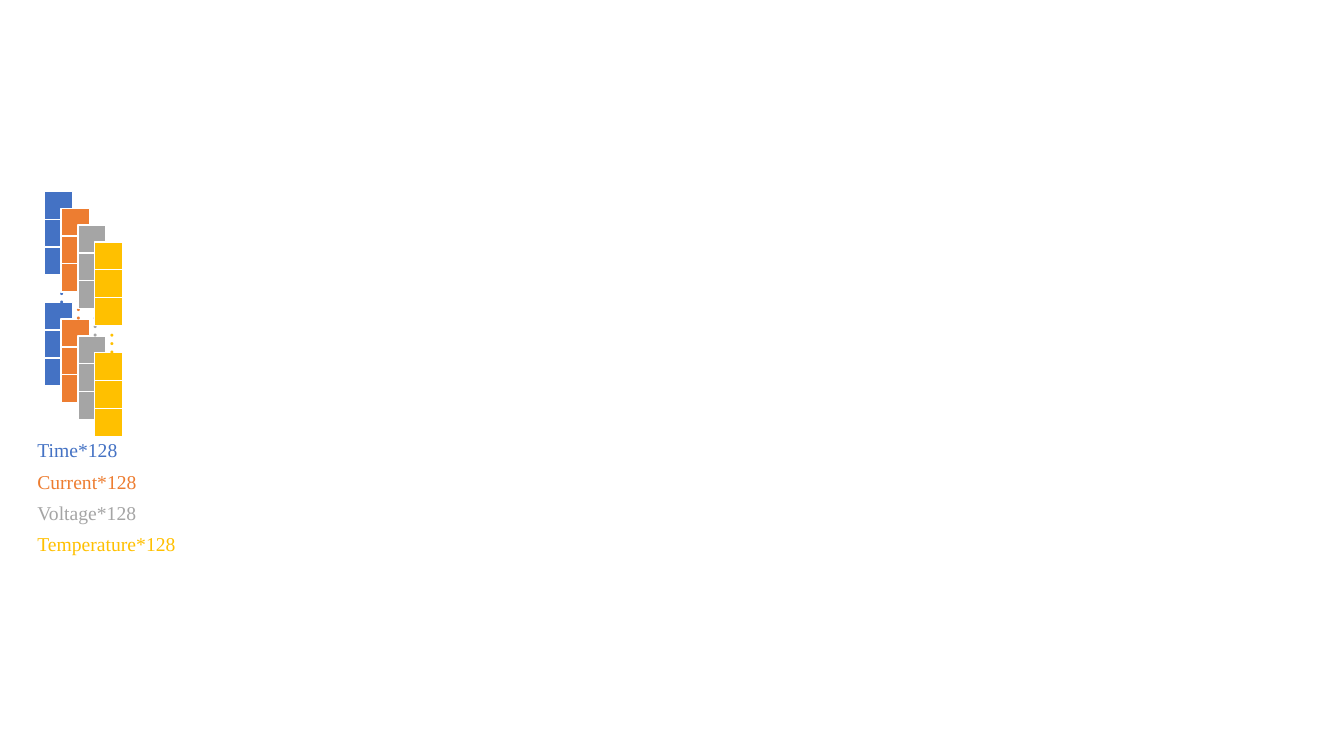
from dataclasses import dataclass

from lxml import etree
from pptx import Presentation
from pptx.dml.color import RGBColor
from pptx.enum.shapes import MSO_SHAPE
from pptx.enum.text import MSO_AUTO_SIZE
from pptx.util import Inches, Pt

RECT = MSO_SHAPE.RECTANGLE
FIT_SHAPE = MSO_AUTO_SIZE.SHAPE_TO_FIT_TEXT

FONT = "Times New Roman"
COLORS = {"time": "4472C4", "current": "ED7D31", "voltage": "A5A5A5",
          "temperature": "FFC000", "outline": "FFFFFF"}
NO_STYLE = "{2D5ABB26-0587-4C30-8999-92F81FD0307C}"

# Stack geometry in inches
LEFT, TOP = 0.44, 1.9
SQUARE, PITCH = 0.28, 0.275
STACK_SHIFT = 1 / 6
SQUARE_SLOTS = (0, 1, 2, 4, 5, 6)  # slot 3 holds the ellipsis


@dataclass
class Channel:
    label: str
    color: str


CHANNELS = [
    Channel("Time*128", COLORS["time"]),
    Channel("Current*128", COLORS["current"]),
    Channel("Voltage*128", COLORS["voltage"]),
    Channel("Temperature*128", COLORS["temperature"]),
]


def add_run(p, text: str, size: int, color: str) -> None:
    r = p.add_run()
    r.text = text
    r.font.name = FONT
    r.font.size = Pt(size)
    r.font.color.rgb = RGBColor.from_string(color)


def add_square(s, left: float, top: float, color: str) -> None:
    sp = s.shapes.add_shape(RECT, Inches(left), Inches(top),
                            Inches(SQUARE), Inches(SQUARE))
    sp.shadow.inherit = False
    sp.fill.solid()
    sp.fill.fore_color.rgb = RGBColor.from_string(color)
    sp.line.color.rgb = RGBColor.from_string(COLORS["outline"])
    sp.line.width = Pt(1)


def add_ellipsis(s, left: float, top: float, color: str) -> None:
    sp = s.shapes.add_textbox(Inches(left), Inches(top),
                              Inches(0.5), Inches(0.35))
    tf = sp.text_frame
    tf.word_wrap = False
    tf.auto_size = FIT_SHAPE
    tf._txBody.bodyPr.set("vert", "eaVert")
    add_run(tf.paragraphs[0], "…", 18, color)


def add_stack(s, index: int, channel: Channel) -> None:
    left = LEFT + index * STACK_SHIFT
    top = TOP + index * STACK_SHIFT
    for slot in SQUARE_SLOTS:
        add_square(s, left, top + slot * PITCH, channel.color)
    add_ellipsis(s, left - 0.04, top + 0.79, channel.color)


def add_legend(s, channels: list[Channel]) -> None:
    row_height = Inches(0.31)
    table = s.shapes.add_table(len(channels), 1, Inches(0.27), Inches(4.33),
                               Inches(1.61), row_height * len(channels)).table
    table.first_row = False
    table.horz_banding = False
    # Plain table without grid lines
    tbl_pr = table._tbl.tblPr
    for child in list(tbl_pr):
        tbl_pr.remove(child)
    ns = etree.QName(tbl_pr).namespace
    etree.SubElement(tbl_pr, f"{{{ns}}}tableStyleId").text = NO_STYLE

    for i, channel in enumerate(channels):
        cell = table.cell(i, 0)
        cell.fill.background()
        cell.margin_top = Inches(0.04)
        cell.margin_bottom = Inches(0.05)
        add_run(cell.text_frame.paragraphs[0], channel.label, 14, channel.color)


def main() -> None:
    prs = Presentation()
    prs.slide_width = Inches(13.33)
    prs.slide_height = Inches(7.5)
    s = prs.slides.add_slide(prs.slide_layouts[6])

    # Overlapping data stacks, back to front
    for i, channel in enumerate(CHANNELS):
        add_stack(s, i, channel)

    # Channel labels
    add_legend(s, CHANNELS)
    prs.save("out.pptx")


if __name__ == "__main__":
    main()
